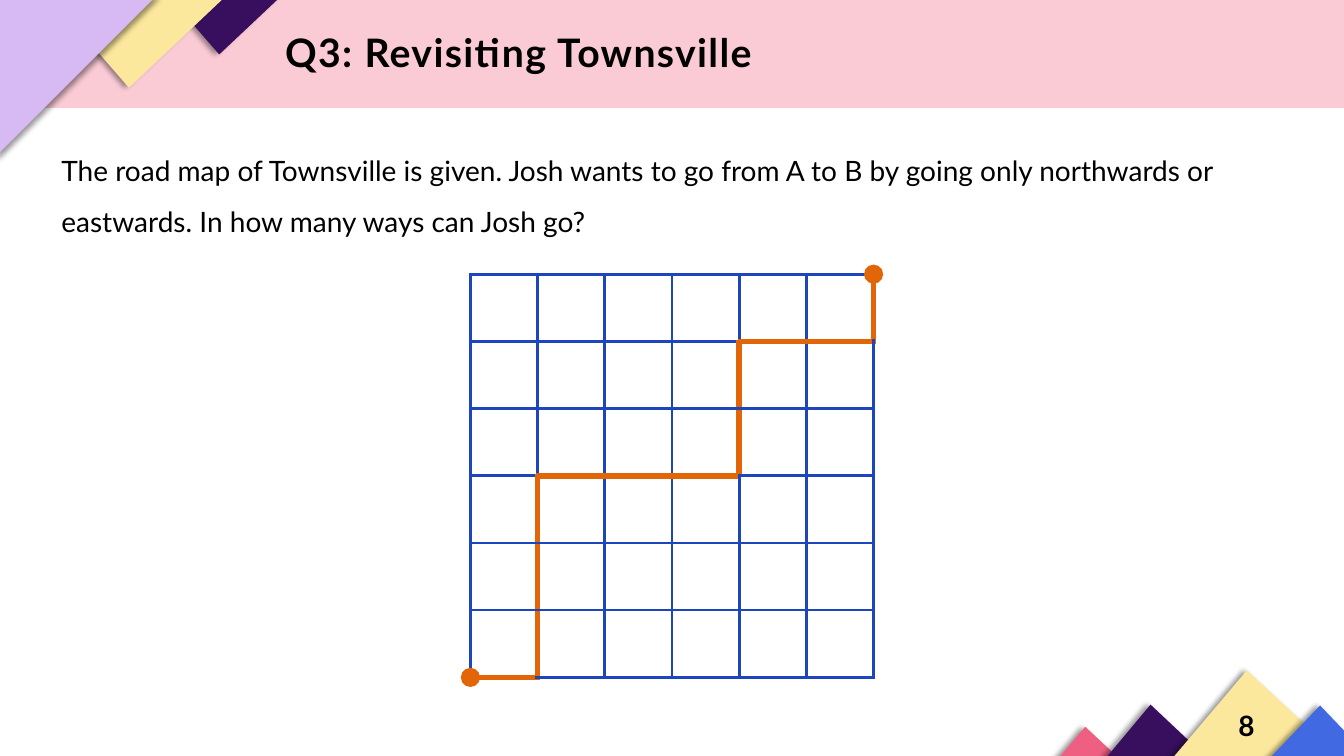
"""Build a question slide about lattice paths on a square road map."""
from lxml import etree
from pptx import Presentation
from pptx.dml.color import RGBColor
from pptx.enum.shapes import MSO_SHAPE
from pptx.enum.text import MSO_ANCHOR, MSO_AUTO_SIZE, PP_ALIGN
from pptx.oxml.ns import qn
from pptx.util import Inches, Pt

RECTANGLE, TRIANGLE, OVAL = MSO_SHAPE.RECTANGLE, MSO_SHAPE.ISOSCELES_TRIANGLE, MSO_SHAPE.OVAL
LEFT, CENTER = PP_ALIGN.LEFT, PP_ALIGN.CENTER
TOP, MIDDLE = MSO_ANCHOR.TOP, MSO_ANCHOR.MIDDLE
GROW, FIXED = MSO_AUTO_SIZE.SHAPE_TO_FIT_TEXT, MSO_AUTO_SIZE.NONE

FONT = "Lato"
COLORS = {
    "banner": "FACAD5", "plum": "370F5E", "yellow": "FCE89D", "lilac": "D7BAF4",
    "pink": "EF5F81", "blue": "4169E2", "road": "1D45BD", "route": "E26507", "ink": "000000",
}
TITLE = "Q3: Revisiting Townsville"
QUESTION = ("The road map of Townsville is given. Josh wants to go from A to B by going only "
            "northwards or eastwards. In how many ways can Josh go?")
PAGE_NUMBER = "8"

# Boxes are left, top, width, height in percent of the slide.
BANNER_BOX = (-0.3, -0.4, 100.5, 14.67)
TITLE_BOX = (20.48, 3.07, 57.53, 7.6)
QUESTION_BOX = (3.83, 17.47, 93.53, 14.27)
NUMBER_BOX = (89.55, 93.33, 6.38, 5.33)
MAP_BOX = (35, 36.27, 30, 53.33)
PEAKS = [
    ("plum", (12.53, -0.53, 8.4, 7.73), 180, 0.55, 180),
    ("yellow", (3.68, -0.53, 13.13, 12.13), 180, 0.55, 180),
    ("lilac", (-0.38, -0.67, 12.08, 21.47), 90, 0, 45),
    ("pink", (78.53, 96.13, 5.03, 4.67), 0, 0.44, 180),
    ("plum", (81.98, 93.2, 8.25, 7.73), 0, 0.44, 180),
    ("yellow", (87, 88.67, 13.13, 12.13), 0, 0.44, 180),
    ("blue", (94.28, 93.33, 7.88, 7.33), 0, 0.5, 180),
]
BLOCKS = 6
ROUTE = "ENNNEEENNEEN"
ROAD_WIDTH, ROUTE_WIDTH = 2.25, 4.5
DOT = Inches(0.19)

deck = Presentation()
deck.slide_width, deck.slide_height = Inches(13.333), Inches(7.5)
page = deck.slides.add_slide(deck.slide_layouts[6])


def place(box):
    """Turn percentages of the slide into lengths."""
    sides = (deck.slide_width, deck.slide_height) * 2
    return [round(share * side / 100) for share, side in zip(box, sides)]


def add_child(parent, tag, **attributes):
    """Append a drawing element with the given attributes."""
    return etree.SubElement(parent, qn(tag), {key: str(value) for key, value in attributes.items()})


def add_plain_shape(kind, frame, color):
    """Add a filled shape without outline or shadow."""
    shape = page.shapes.add_shape(kind, *frame)
    shape.shadow.inherit = False
    shape.fill.solid()
    shape.fill.fore_color.rgb = RGBColor.from_string(COLORS[color])
    shape.line.fill.background()
    return shape


def add_peak(color, box, rotation, apex, shadow_angle):
    """Add a decorative triangle with a soft shadow."""
    peak = add_plain_shape(TRIANGLE, place(box), color)
    peak.rotation = rotation
    peak.adjustments[0] = apex
    effects = peak._element.spPr.find(qn("a:effectLst"))
    shadow = add_child(effects, "a:outerShdw", blurRad=Pt(4), dist=Pt(3),
                       dir=shadow_angle * 60000, algn="ctr", rotWithShape=0)
    tint = add_child(shadow, "a:srgbClr", val=COLORS["ink"])
    add_child(tint, "a:alpha", val=40000)


def add_text(text, box, size, bold=False, align=LEFT, anchor=TOP, fit=GROW,
             line_spacing=None, tracking=None):
    """Add a wrapped text box holding one paragraph."""
    frame = page.shapes.add_textbox(*place(box)).text_frame
    frame.word_wrap, frame.auto_size, frame.vertical_anchor = True, fit, anchor
    para = frame.paragraphs[0]
    para.alignment, para.line_spacing = align, line_spacing
    span = para.add_run()
    span.text = text
    span.font.name, span.font.size, span.font.bold = FONT, Pt(size), bold
    span.font.color.rgb = RGBColor.from_string(COLORS["ink"])
    if tracking:
        span.font._element.set("spc", str(tracking * 100))


def trace_route():
    """Collect the grid edges, as (direction, row, column), along the route."""
    edges, row, column = set(), BLOCKS, 0
    for step in ROUTE:
        if step == "E":
            edges.add(("across", row, column))
            column += 1
        else:
            row -= 1
            edges.add(("up", row, column))
    return edges


def add_map():
    """Draw the road map as a table and mark both ends of the route."""
    left, top, width, height = place(MAP_BOX)
    table = page.shapes.add_table(BLOCKS, BLOCKS, left, top, width, height).table
    table.first_row = table.horz_banding = False
    route = trace_route()
    for row in range(BLOCKS):
        for column in range(BLOCKS):
            cell = table.cell(row, column)
            properties = cell._tc.get_or_add_tcPr()
            borders = {
                "a:lnL": ("up", row, column), "a:lnR": ("up", row, column + 1),
                "a:lnT": ("across", row, column), "a:lnB": ("across", row + 1, column),
            }
            for tag, edge in borders.items():
                color, weight = ("route", ROUTE_WIDTH) if edge in route else ("road", ROAD_WIDTH)
                line = add_child(properties, tag, w=Pt(weight), cap="flat", cmpd="sng", algn="ctr")
                add_child(add_child(line, "a:solidFill"), "a:srgbClr", val=COLORS[color])
                add_child(line, "a:prstDash", val="solid")
            cell.fill.background()
    for x, y in ((left, top + height), (left + width, top)):
        add_plain_shape(OVAL, (x - DOT // 2, y - DOT // 2, DOT, DOT), "route")


add_plain_shape(RECTANGLE, place(BANNER_BOX), "banner")
for peak_format in PEAKS:
    add_peak(*peak_format)
add_text(PAGE_NUMBER, NUMBER_BOX, 20, bold=True, align=CENTER, anchor=MIDDLE, fit=FIXED)
add_text(TITLE, TITLE_BOX, 28, bold=True, tracking=1)
add_text(QUESTION, QUESTION_BOX, 20, line_spacing=1.5)
add_map()
deck.save("out.pptx")
